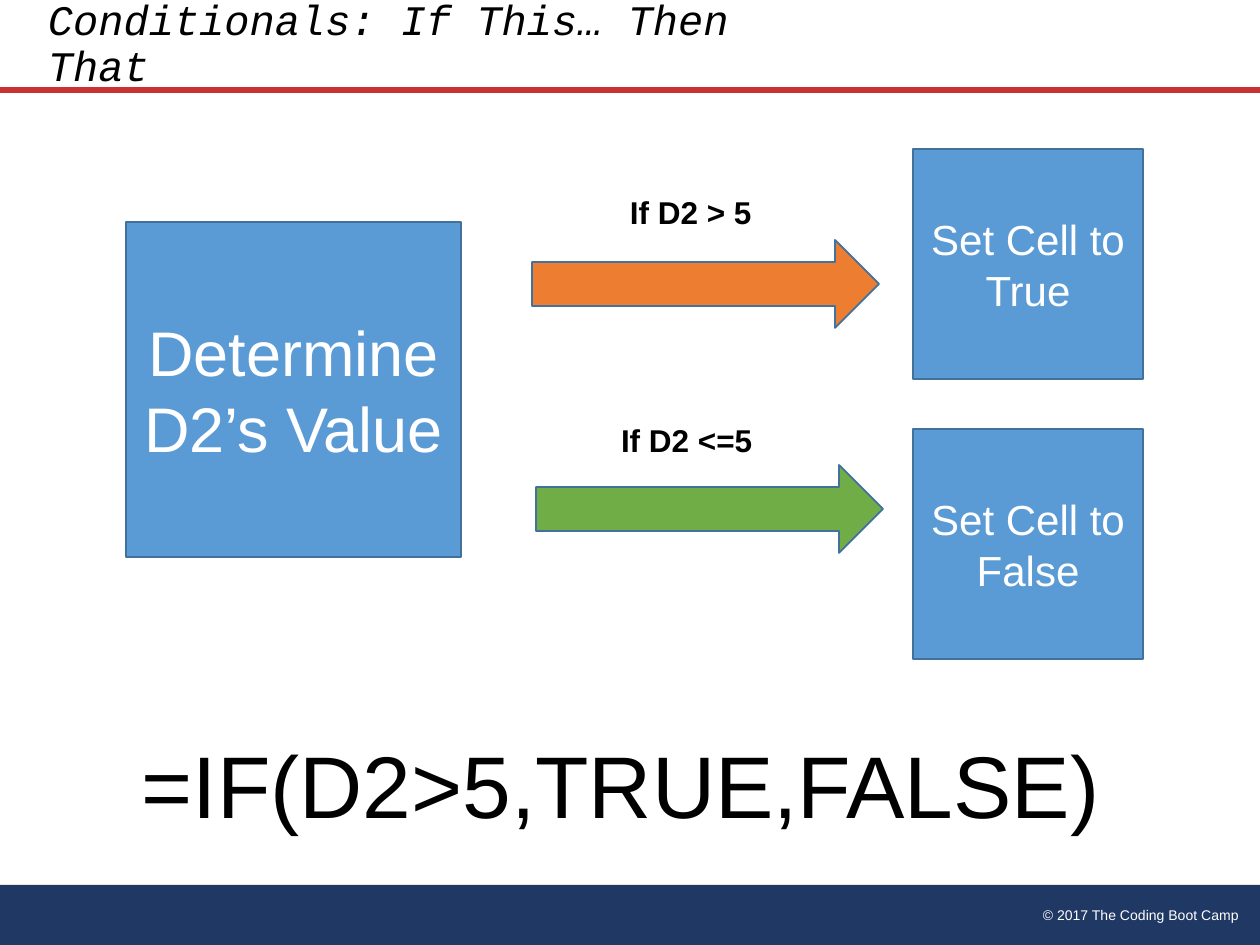
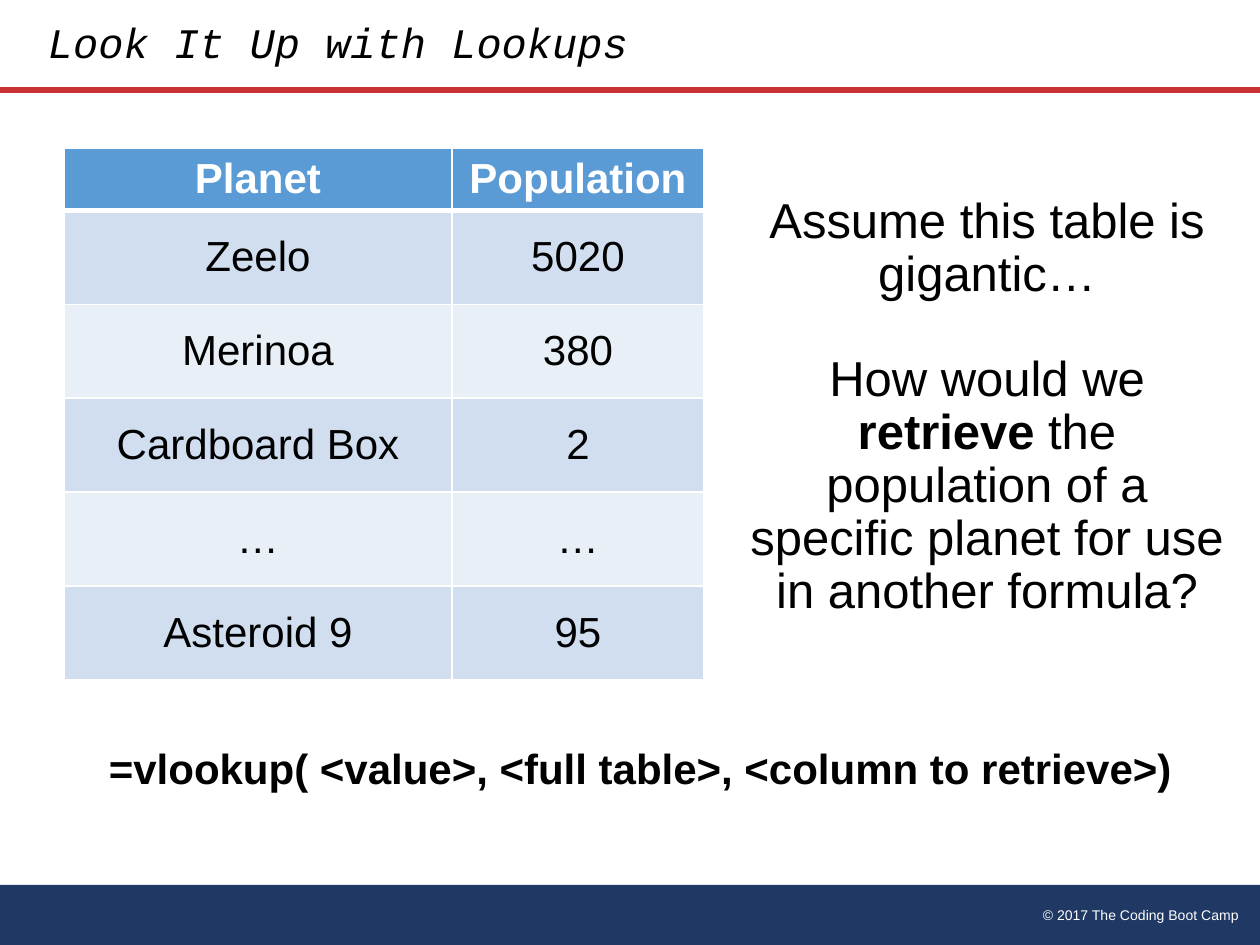
from dataclasses import dataclass

from lxml import etree
from pptx import Presentation
from pptx import util as u
from pptx.dml.color import RGBColor
from pptx.enum import shapes, text
from pptx.oxml import ns

EMU_PER_PX = 914400 / 126
WIDTH, HEIGHT = 1260, 945
CENTER, LEFT, RIGHT = text.PP_ALIGN.CENTER, text.PP_ALIGN.LEFT, text.PP_ALIGN.RIGHT
MIDDLE, TOP = text.MSO_ANCHOR.MIDDLE, text.MSO_ANCHOR.TOP


@dataclass(frozen=True)
class Theme:
    body_font: str = "Arial"
    title_font: str = "Courier New"
    ink: str = "000000"
    paper: str = "FFFFFF"
    navy: str = "203864"
    red: str = "C83232"
    blue: str = "5B9BD5"
    outline: str = "42719B"
    orange: str = "ED7D31"
    green: str = "70AD47"
    bands: tuple = ("D0DEEF", "E9EFF7")
    footer_size: int = 8
    label_size: int = 18
    text_size: int = 24
    question_size: int = 28
    step_size: int = 36
    formula_size: int = 50
    inset: int = 6
    tight: float = 0.9


def px(value):
    return u.Emu(round(value * EMU_PER_PX))


def assign(target, values):
    for name, value in values.items():
        setattr(target, name, value)


class SlideBuilder:
    def __init__(self, deck, theme):
        self.deck, self.theme, self.page = deck, theme, None
        self.margins = {f"margin_{side}": px(theme.inset)
                        for side in ("left", "top", "right", "bottom")}

    def start(self, title):
        theme = self.theme
        self.page = self.deck.slides.add_slide(self.deck.slide_layouts[6])
        self.shape((0, 885, WIDTH, 60), theme.navy, outline=None)
        self.label((861, 901, 384, 28), "© 2017 The Coding Boot Camp", theme.footer_size,
                   color=theme.paper, align=RIGHT)
        self.rule(90)
        self.label((42, 0, 753, 90), title, theme.text_size, font=theme.title_font,
                   italic=True, anchor=MIDDLE, spacing=theme.tight)

    def fill_text(self, frame, paragraphs, size, color=None, font=None, bold=False,
                  italic=False, align=LEFT, spacing=None, gap=0):
        for index, spans in enumerate(paragraphs):
            para = frame.add_paragraph() if index else frame.paragraphs[0]
            assign(para, {"alignment": align, "line_spacing": spacing,
                          "space_before": u.Pt(gap if index else 0)})
            for words, strong in spans:
                span = para.add_run()
                span.text = words
                assign(span.font, {"name": font or self.theme.body_font, "size": u.Pt(size),
                                   "bold": bold or strong, "italic": italic})
                span.font.color.rgb = RGBColor.from_string(color or self.theme.ink)

    def label(self, place, words, size, anchor=TOP, wrap=True, **style):
        box = self.page.shapes.add_textbox(*map(px, place))
        assign(box.text_frame, {**self.margins, "word_wrap": wrap, "vertical_anchor": anchor})
        paragraphs = [[(words, False)]] if isinstance(words, str) else words
        self.fill_text(box.text_frame, paragraphs, size, **style)

    def shape(self, place, fill, outline, kind=shapes.MSO_SHAPE.RECTANGLE):
        box = self.page.shapes.add_shape(kind, *map(px, place))
        box.shadow.inherit = False
        box.fill.solid()
        box.fill.fore_color.rgb = RGBColor.from_string(fill)
        if outline:
            box.line.color.rgb = RGBColor.from_string(outline)
            box.line.width = u.Pt(1)
        else:
            box.line.fill.background()
        return box

    def step(self, left, top, side, words, size):
        box = self.shape((left, top, side, side), self.theme.blue, self.theme.outline)
        assign(box.text_frame, {**self.margins, "word_wrap": True, "vertical_anchor": MIDDLE})
        self.fill_text(box.text_frame, [[(words, False)]], size, color=self.theme.paper,
                       align=CENTER)

    def arrow(self, left, top, fill):
        self.shape((left, top, 347, 88), fill, self.theme.outline,
                   shapes.MSO_SHAPE.RIGHT_ARROW)

    def rule(self, top):
        line = self.page.shapes.add_connector(
            shapes.MSO_CONNECTOR.STRAIGHT, px(0), px(top), px(WIDTH), px(top))
        line.line.color.rgb = RGBColor.from_string(self.theme.red)
        line.line.width = u.Pt(3.25)
        etree.SubElement(line._element.spPr, ns.qn("a:effectLst"))

    def table(self, left, top, widths, heights, rows):
        theme = self.theme
        frame = self.page.shapes.add_table(len(rows), len(widths), px(left), px(top),
                                           px(sum(widths)), px(sum(heights)))
        grid = frame.table
        grid.horz_banding = False
        for column, width in zip(grid.columns, widths):
            column.width = px(width)
        for index, (row, height, values) in enumerate(zip(grid.rows, heights, rows)):
            row.height = px(height)
            header = index == 0
            fill = theme.blue if header else theme.bands[(index - 1) % 2]
            for cell, value in zip(row.cells, values):
                self.fill_text(cell.text_frame, [[(value, False)]], theme.text_size,
                               color=theme.paper if header else theme.ink,
                               bold=header, align=CENTER)
                assign(cell, {**self.margins, "vertical_anchor": MIDDLE})
                self.borders(cell, top=3 if index == 1 else 1, bottom=3 if header else 1)
                cell.fill.solid()
                cell.fill.fore_color.rgb = RGBColor.from_string(fill)

    def borders(self, cell, top, bottom):
        properties = cell._tc.get_or_add_tcPr()
        for tag, width in (("lnL", 1), ("lnR", 1), ("lnT", top), ("lnB", bottom)):
            edge = etree.SubElement(properties, ns.qn(f"a:{tag}"), w=str(int(u.Pt(width))))
            paint = etree.SubElement(edge, ns.qn("a:solidFill"))
            etree.SubElement(paint, ns.qn("a:srgbClr"), val=self.theme.paper)


def conditionals(slide):
    theme = slide.theme
    slide.start("Conditionals: If This… Then That")
    slide.label((136, 725, 973, 111), "=IF(D2>5,TRUE,FALSE)", theme.formula_size, wrap=False)
    slide.step(126, 222, 335, "Determine D2’s Value", theme.step_size)
    for top, outcome in ((149, "True"), (429, "False")):
        slide.step(913, top, 230, f"Set Cell to {outcome}", theme.text_size)
    slide.arrow(532, 240, theme.orange)
    slide.arrow(536, 465, theme.green)
    for place, condition in (((624, 187, 136, 48), "If D2 > 5"),
                             ((615, 415, 146, 48), "If D2 <=5")):
        slide.label(place, condition, theme.label_size, bold=True, wrap=False)


def lookups(slide):
    theme = slide.theme
    slide.start("Look It Up with Lookups")
    planets = [("Planet", "Population"), ("Zeelo", "5020"), ("Merinoa", "380"),
               ("Cardboard Box", "2"), ("…", "…"), ("Asteroid 9", "95")]
    slide.table(64, 148, (388, 252), [62] + [94] * 5, planets)
    centred = {"align": CENTER, "anchor": MIDDLE, "spacing": theme.tight}
    slide.label((42, 741, 1197, 60), "=vlookup( <value>, <full table>, <column to retrieve>)",
                theme.text_size, bold=True, **centred)
    question = [
        [("Assume this table is gigantic…", False)],
        [("How would we ", False), ("retrieve", True),
         (" the population of a specific planet for use in another formula?", False)],
    ]
    slide.label((735, 197, 504, 421), question, theme.question_size, gap=30, **centred)


def main():
    deck = Presentation()
    assign(deck, {"slide_width": px(WIDTH), "slide_height": px(HEIGHT)})
    slide = SlideBuilder(deck, Theme())
    conditionals(slide)
    lookups(slide)
    deck.save("out.pptx")


if __name__ == "__main__":
    main()
